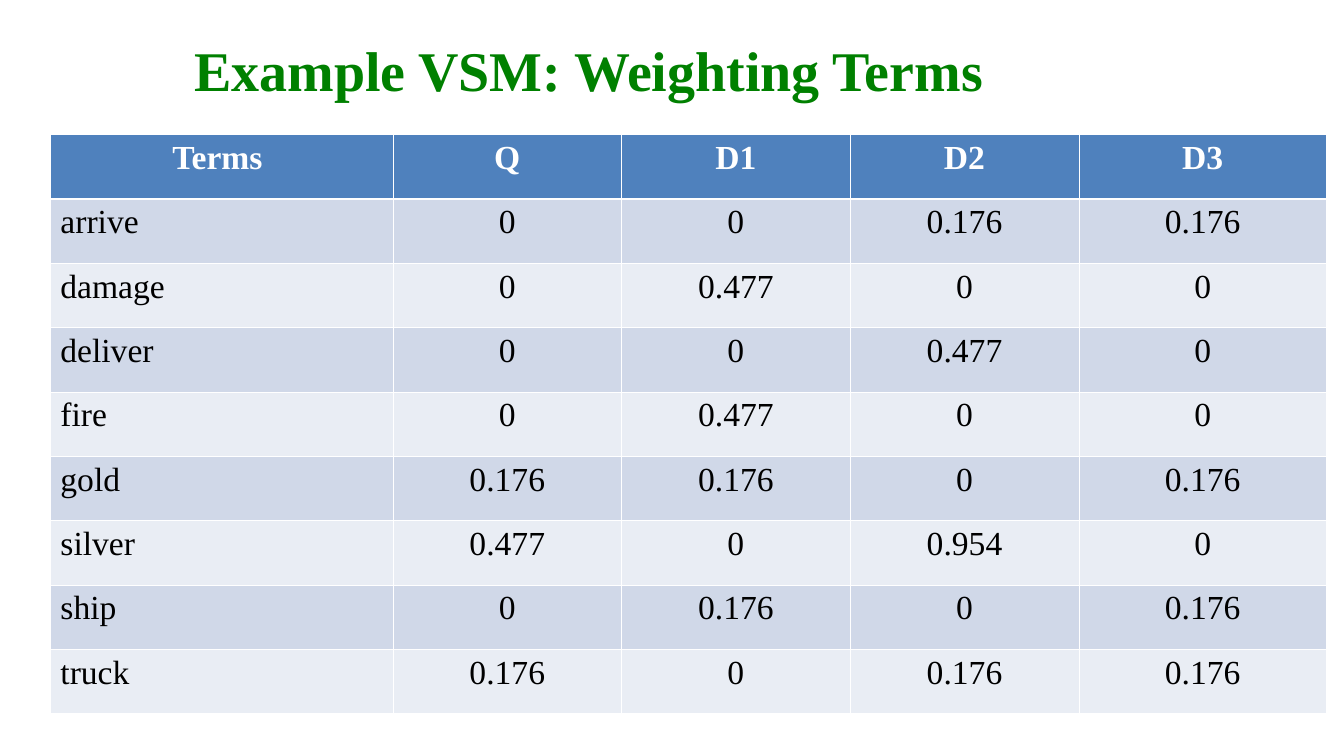
"""Build a slide with a table of term weights in the vector space model."""
from pptx import Presentation
from pptx.dml.color import RGBColor as Color
from pptx.enum.text import MSO_AUTO_SIZE as AutoSize, PP_ALIGN as Align
from pptx.oxml import parse_xml
from pptx.oxml.ns import nsdecls
from pptx.util import Pt

TITLE = "Example VSM: Weighting Terms"
HEADER = ("Terms ", "Q", "D1", "D2", "D3")
WEIGHTS = [
    ("arrive", "0", "0", "0.176", "0.176"),
    ("damage", "0", "0.477", "0", "0"),
    ("deliver", "0", "0", "0.477", "0"),
    ("fire", "0", "0.477", "0", "0"),
    ("gold", "0.176", "0.176", "0", "0.176"),
    ("silver", "0.477", "0", "0.954", "0"),
    ("ship", "0", "0.176", "0", "0.176"),
    ("truck", "0.176", "0", "0.176", "0.176"),
]
COLORS = {
    "title": "008000", "header": "4F81BD", "odd": "D0D8E8",
    "even": "E9EDF4", "line": "FFFFFF", "light": "FFFFFF", "dark": "000000",
}
FONT = "Times New Roman"
PAGE_SIZE = (960.5, 540)
TITLE_BOX = (131.8, 27.4, 696.2, 50.4)
TABLE_CORNER = (36, 96)
COLUMN_WIDTHS = (244.8, 163.4, 163.4, 163.4, 177.1)
ROW_HEIGHT = 46
THIN, THICK = 0.45, 1.47


def write(frame, text, size=24, color="dark", bold=False, align=Align.LEFT, spacing=1.0):
    para = frame.paragraphs[0]
    para.alignment = align
    para.line_spacing = spacing
    span = para.add_run()
    span.text = text
    span.font.name = FONT
    span.font.size = Pt(size)
    span.font.bold = bold
    span.font.color.rgb = Color.from_string(COLORS[color])


def draw_borders(cell, top, bottom):
    properties = cell._tc.get_or_add_tcPr()
    for side, width in (("L", THIN), ("R", THIN), ("T", top), ("B", bottom)):
        properties.append(parse_xml(
            f'<a:ln{side} {nsdecls("a")} w="{int(Pt(width))}"><a:solidFill>'
            f'<a:srgbClr val="{COLORS["line"]}"/></a:solidFill></a:ln{side}>'))


def add_title(page):
    box = page.shapes.add_textbox(*map(Pt, TITLE_BOX))
    box.text_frame.word_wrap = True
    box.text_frame.auto_size = AutoSize.SHAPE_TO_FIT_TEXT
    write(box.text_frame, TITLE, size=40, color="title", bold=True, spacing=0.9)


def add_weights(page):
    rows = [HEADER, *WEIGHTS]
    size = (sum(COLUMN_WIDTHS), ROW_HEIGHT * len(rows))
    table = page.shapes.add_table(
        len(rows), len(HEADER), *map(Pt, TABLE_CORNER + size)).table
    for column, width in zip(table.columns, COLUMN_WIDTHS):
        column.width = Pt(width)
    for r, row in enumerate(rows):
        table.rows[r].height = Pt(ROW_HEIGHT)
        is_header = r == 0
        fill = "header" if is_header else "odd" if r % 2 else "even"
        for c, text in enumerate(row):
            cell = table.cell(r, c)
            draw_borders(cell, top=THICK if r == 1 else THIN,
                         bottom=THICK if is_header else THIN)
            cell.fill.solid()
            cell.fill.fore_color.rgb = Color.from_string(COLORS[fill])
            write(cell.text_frame, text, bold=is_header,
                  color="light" if is_header else "dark",
                  align=Align.CENTER if is_header or c else Align.LEFT)


def main():
    deck = Presentation()
    deck.slide_width, deck.slide_height = map(Pt, PAGE_SIZE)
    page = deck.slides.add_slide(deck.slide_layouts[6])
    add_title(page)
    add_weights(page)
    deck.save("out.pptx")


if __name__ == "__main__":
    main()
